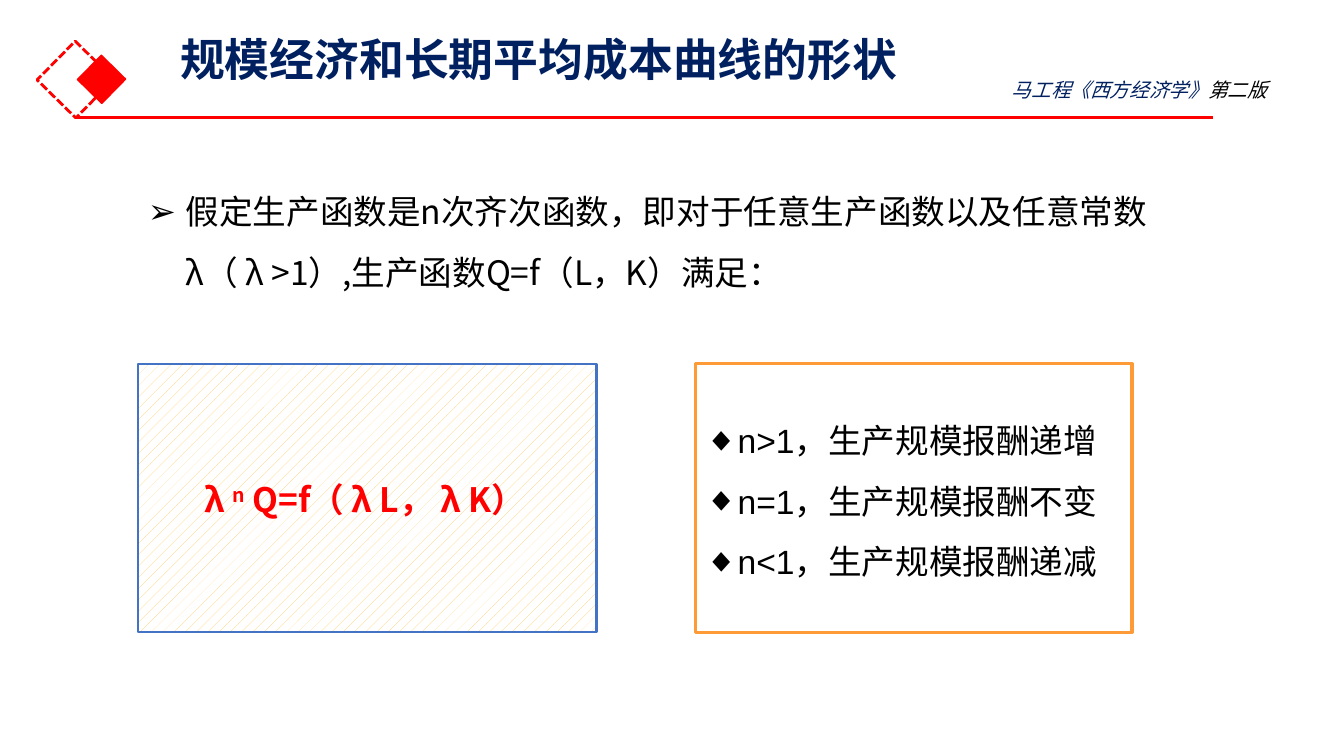
from lxml.etree import SubElement
from pptx import Presentation
from pptx.dml.color import RGBColor
from pptx.enum.dml import MSO_LINE_DASH_STYLE as Dash, MSO_PATTERN_TYPE as Pattern
from pptx.enum.shapes import MSO_CONNECTOR_TYPE as Connector, MSO_SHAPE as Shape
from pptx.enum.text import MSO_ANCHOR as Anchor, MSO_AUTO_SIZE as AutoSize
from pptx.oxml.ns import qn
from pptx.util import Cm, Pt

RED = RGBColor(0xFF, 0x00, 0x00)
NAVY = RGBColor(0x00, 0x20, 0x60)
BLACK = RGBColor(0x00, 0x00, 0x00)
WHITE = RGBColor(0xFF, 0xFF, 0xFF)
BLUE = RGBColor(0x44, 0x72, 0xC4)
ORANGE = RGBColor(0xFF, 0x9B, 0x37)
SAND = RGBColor(0xFF, 0xCC, 0x66)
SANS = "Noto Sans CJK SC"
LATIN = "Arial"


class SlideBuilder:
    """Holds the text style and the current slide, and adds elements to it."""

    def __init__(self, page):
        self.page = page
        self.east_asian = SANS

    def rectangle(self, left, top, width, height, color, weight, turn=0):
        box = self.page.shapes.add_shape(
            Shape.RECTANGLE, Cm(left), Cm(top), Cm(width), Cm(height))
        box.shadow.inherit = False
        box.rotation = turn
        box.fill.background()
        box.line.color.rgb = color
        box.line.width = Pt(weight)
        return box

    def rule(self, left, right, top, color, weight):
        line = self.page.shapes.add_connector(
            Connector.STRAIGHT, Cm(left), Cm(top), Cm(right), Cm(top))
        line.line.color.rgb = color
        line.line.width = Pt(weight)
        SubElement(line._element.spPr, qn("a:effectLst"))

    def text_box(self, left, top, width, height, anchor=Anchor.TOP):
        box = self.page.shapes.add_textbox(Cm(left), Cm(top), Cm(width), Cm(height))
        frame = box.text_frame
        frame.word_wrap = True
        frame.auto_size = AutoSize.SHAPE_TO_FIT_TEXT
        frame.vertical_anchor = anchor
        return frame

    def span(self, para, text, size, color=BLACK, font=SANS, bold=False,
             italic=False, raised=False):
        span = para.add_run()
        span.text = text
        span.font.size = Pt(size)
        span.font.name = font
        span.font.color.rgb = color
        span.font.bold = bold
        span.font.italic = italic
        properties = span.font._element
        SubElement(properties, qn("a:ea")).set("typeface", self.east_asian)
        if raised:
            properties.set("baseline", "30000")

    def bullets(self, frame, symbol, indent, lines, font):
        for index, text in enumerate(lines):
            para = frame.add_paragraph() if index else frame.paragraphs[0]
            para.line_spacing = 1.5
            properties = para._p.get_or_add_pPr()
            properties.set("marL", str(Cm(indent)))
            properties.set("indent", str(-Cm(indent)))
            SubElement(properties, qn("a:buFont")).set("typeface", LATIN)
            SubElement(properties, qn("a:buChar")).set("char", symbol)
            self.span(para, text, 24, font=font)


def main():
    deck = Presentation()
    deck.slide_width, deck.slide_height = Cm(33.87), Cm(19.05)
    slide = SlideBuilder(deck.slides.add_slide(deck.slide_layouts[6]))

    formula_panel = slide.rectangle(3.48, 9.17, 11.56, 6.76, BLUE, 1.75)
    formula_panel.fill.patterned()
    formula_panel.fill.pattern = Pattern.PERCENT_10
    formula_panel.fill.fore_color.rgb = SAND
    formula_panel.fill.back_color.rgb = WHITE

    outline_diamond = slide.rectangle(1.22, 1.32, 1.37, 1.37, RED, 2, 314.5)
    outline_diamond.line.dash_style = Dash.SQUARE_DOT
    solid_diamond = slide.rectangle(2.13, 1.57, 0.86, 0.86, RED, 1, 314.5)
    solid_diamond.fill.solid()
    solid_diamond.fill.fore_color.rgb = RED
    slide.rule(1.91, 30.58, 2.97, RED, 2.25)

    title = slide.text_box(4.29, 1.04, 29.21, 2.41, Anchor.MIDDLE).paragraphs[0]
    title.line_spacing = 0.9
    slide.span(title, "规模经济和长期平均成本曲线的形状", 32, NAVY, bold=True)
    title.add_line_break()
    SubElement(title._p, qn("a:endParaRPr")).set("sz", "3200")

    source = slide.text_box(25.25, 1.85, 8.23, 0.86).paragraphs[0]
    slide.span(source, "马工程《西方经济学》", 14, NAVY, italic=True)
    slide.span(source, "第二版", 14, italic=True)

    premise = slide.text_box(3.48, 4.19, 25.88, 3.15)
    slide.bullets(premise, "➢", 0.95, [
        "假定生产函数是n次齐次函数，即对于任意生产函数以及任意常数λ（ λ >1）,"
        "生产函数Q=f（L，K）满足："], SANS)

    formula = slide.text_box(4.9, 11.94, 9.25, 1.27).paragraphs[0]
    slide.span(formula, "λ ", 24, RED, bold=True)
    slide.span(formula, "n", 24, RED, bold=True, raised=True)
    slide.span(formula, " Q=f（ λ L， λ K）", 24, RED, bold=True)

    returns = slide.text_box(17.5, 9.96, 11.02, 4.88)
    cases = [("n>1", "递增"), ("n=1", "不变"), ("n<1", "递减")]
    slide.bullets(returns, "◆", 0.79,
                  [f"{degree}，生产规模报酬{trend}" for degree, trend in cases], LATIN)
    slide.rectangle(17.53, 9.17, 11, 6.76, ORANGE, 2.25)

    deck.save("out.pptx")


if __name__ == "__main__":
    main()
